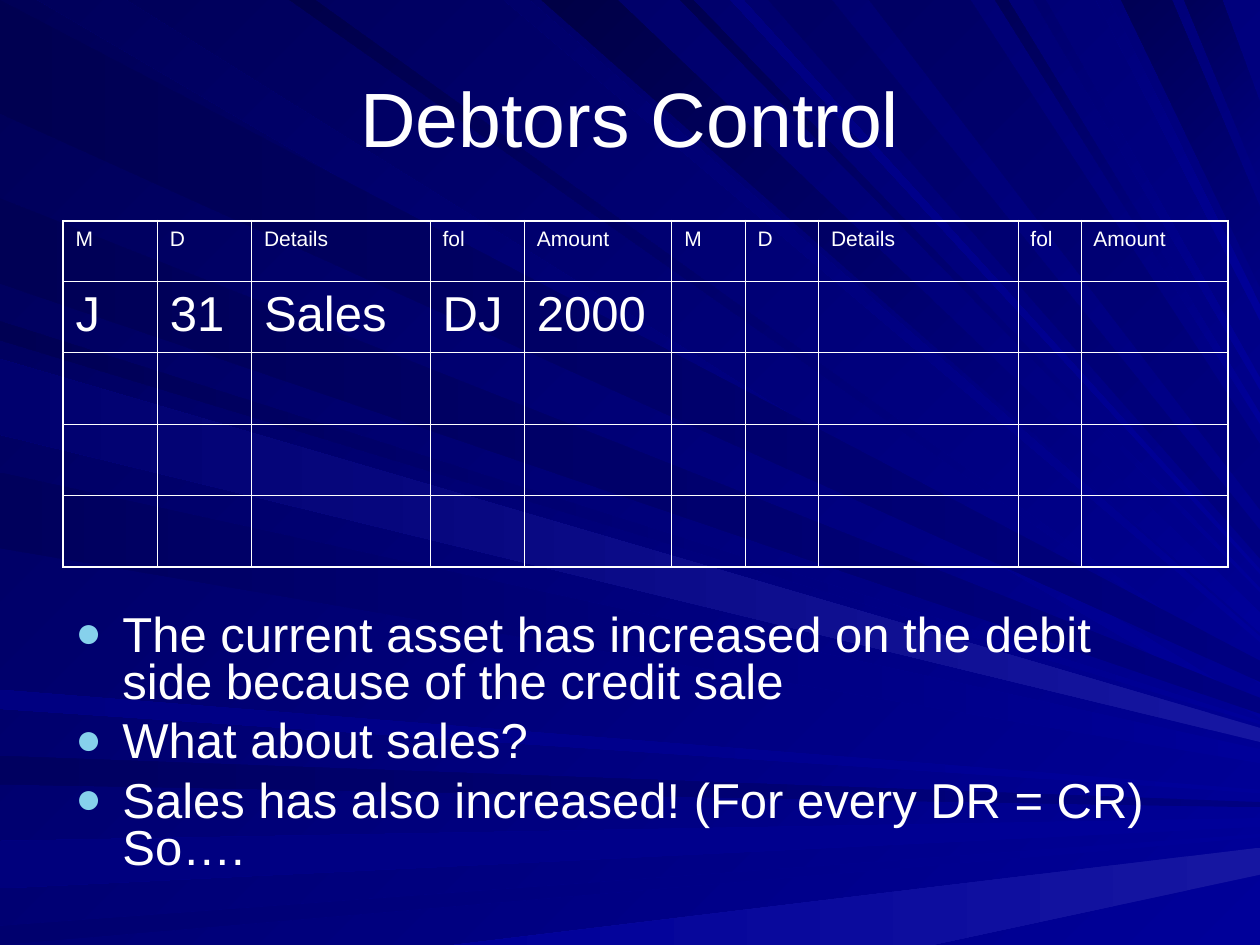
from dataclasses import dataclass

from lxml.etree import SubElement
from pptx import Presentation
from pptx.dml.color import RGBColor
from pptx.enum.text import MSO_ANCHOR, PP_ALIGN
from pptx.oxml.ns import qn
from pptx.util import Cm, Pt


@dataclass(frozen=True)
class Theme:
    """Colours, font and type sizes of the slide."""
    font: str = "Arial"
    text: str = "FFFFFF"
    bullet: str = "86D1EC"
    bright: str = "000099"
    middle: str = "000080"
    glow: str = "1616A1"
    dark: str = "000057"
    title_size: int = 44
    body_size: int = 28
    header_size: int = 12
    inner_line: float = 0.45
    outer_line: float = 1.08


@dataclass(frozen=True)
class Box:
    """A region of the slide in centimetres."""
    left: float
    top: float
    width: float
    height: float

    def lengths(self):
        """Return left, top, width and height as slide lengths."""
        return Cm(self.left), Cm(self.top), Cm(self.width), Cm(self.height)


@dataclass(frozen=True)
class Fan:
    """Rays that leave one slide edge for a shared focus, as start, end, near and far colour."""
    edge: str
    focus_height: float
    angle: int
    rays: tuple


THEME = Theme()
BRIGHT, MIDDLE, GLOW = THEME.bright, THEME.middle, THEME.glow
FOCUS_REACH = 1.23

FANS = (
    Fan("top", 0.94, 225, (
        (0.03, 0.1, BRIGHT, "00005C"),
        (0.4, 0.42, BRIGHT, "00006A"),
        (0.43, 0.49, BRIGHT, "000046"),
        (0.54, 0.55, BRIGHT, "00004E"),
        (0.61, 0.66, MIDDLE, "000064"),
        (0.23, 0.25, BRIGHT, "00004A"),
        (0.58, 0.59, BRIGHT, "000081"),
        (0.69, 0.77, MIDDLE, "000064"),
        (0.79, 0.8, BRIGHT, "000057"),
        (0.82, 0.83, BRIGHT, "00006E"),
        (0.87, 0.88, BRIGHT, "000078"),
        (0.89, 0.93, MIDDLE, "000055"),
        (0.94, 0.97, MIDDLE, "000059"),
    )),
    Fan("left", 0.86, 180, (
        (0, 0.12, MIDDLE, "000051"),
        (0.8, 0.83, MIDDLE, "000060"),
        (0.89, 0.94, BRIGHT, "00007C"),
        (0.98, 1, BRIGHT, "00006E"),
        (0.34, 0.36, BRIGHT, "000053"),
        (0.21, 0.3, MIDDLE, "000055"),
        (0.5, 0.58, BRIGHT, "00005C"),
        (0.73, 0.75, BRIGHT, "000081"),
        (0.38, 0.46, GLOW, "00006E"),
    )),
    Fan("bottom", 0.86, 180, ((0.36, 0.74, GLOW, BRIGHT),)),
)

COLUMN_WIDTHS = [1.9, 1.9, 3.6, 1.9, 2.97, 1.48, 1.48, 4.02, 1.27, 2.97]
ROW_HEIGHTS = [1.22] + [1.44] * 4
LEDGER = [
    ["M", "D", "Details", "fol", "Amount"] * 2,
    ["J", "31", "Sales", "DJ", "2000"],
]
POINTS = [
    "The current asset has increased on the debit side because of the credit sale",
    "What about sales?",
    "Sales has also increased! (For every DR = CR) So….",
]


def paint(fill, start, end, clockwise_angle):
    """Fill with a linear gradient."""
    fill.gradient()
    fill.gradient_angle = 360 - clockwise_angle
    for stop, color in zip(fill.gradient_stops, (start, end)):
        stop.color.rgb = RGBColor.from_string(color)


def style_font(paragraph, size):
    """Give a paragraph the theme font at the given size."""
    paragraph.font.name = THEME.font
    paragraph.font.size = Pt(size)
    paragraph.font.color.rgb = RGBColor.from_string(THEME.text)


def ray_side(fan, position):
    """Return both ends of a ray's side as fractions of the box."""
    x, y = {"top": (position, 0), "left": (0, position), "bottom": (position, 1)}[fan.edge]
    slope = (fan.focus_height - y) / (FOCUS_REACH - x)
    return [(x, y), (1, y + slope * (1 - x))]


def add_rays(slide, box):
    """Draw the background gradient and the fans of light rays."""
    paint(slide.background.fill, THEME.bright, THEME.dark, 225)
    for fan in FANS:
        for start, end, near_color, far_color in fan.rays:
            outline = ray_side(fan, start) + ray_side(fan, end)[::-1]
            corners = [(Cm(box.left + x * box.width), Cm(box.top + y * box.height))
                       for x, y in outline]
            builder = slide.shapes.build_freeform(*corners[0])
            builder.add_line_segments(corners[1:], close=True)
            shape = builder.convert_to_shape()
            shape.shadow.inherit = False
            shape.line.fill.background()
            paint(shape.fill, near_color, far_color, fan.angle)


def add_title(slide, box, text):
    """Place the centred slide title."""
    frame = slide.shapes.add_textbox(*box.lengths()).text_frame
    frame.word_wrap = True
    frame.vertical_anchor = MSO_ANCHOR.MIDDLE
    paragraph = frame.paragraphs[0]
    paragraph.text = text
    paragraph.alignment = PP_ALIGN.CENTER
    style_font(paragraph, THEME.title_size)


def set_borders(cell, widths):
    """Draw the left, right, top and bottom borders of a cell."""
    properties = cell._tc.get_or_add_tcPr()
    for side, width in zip("LRTB", widths):
        line = SubElement(properties, qn(f"a:ln{side}"), w=str(Pt(width)))
        SubElement(SubElement(line, qn("a:solidFill")), qn("a:srgbClr"), val=THEME.text)


def add_ledger(slide, box):
    """Place the ledger account table with a heavier outer frame."""
    last_row, last_column = len(ROW_HEIGHTS) - 1, len(COLUMN_WIDTHS) - 1
    table = slide.shapes.add_table(last_row + 1, last_column + 1, *box.lengths()).table
    table.first_row = table.horz_banding = False
    for column, width in zip(table.columns, COLUMN_WIDTHS):
        column.width = Cm(width)
    for row_index, height in enumerate(ROW_HEIGHTS):
        table.rows[row_index].height = Cm(height)
        for column_index in range(last_column + 1):
            cell = table.cell(row_index, column_index)
            edges = (column_index == 0, column_index == last_column,
                     row_index == 0, row_index == last_row)
            set_borders(cell, [THEME.outer_line if edge else THEME.inner_line for edge in edges])
            cell.fill.background()
    for row_index, entries in enumerate(LEDGER):
        for column_index, entry in enumerate(entries):
            paragraph = table.cell(row_index, column_index).text_frame.paragraphs[0]
            paragraph.text = entry
            style_font(paragraph, THEME.body_size if row_index else THEME.header_size)


def add_bullet(paragraph):
    """Give a paragraph a round bullet with a hanging indent."""
    properties = paragraph._p.get_or_add_pPr()
    properties.set("marL", str(Cm(0.95)))
    properties.set("indent", str(Cm(-0.95)))
    SubElement(SubElement(properties, qn("a:buClr")), qn("a:srgbClr"), val=THEME.bullet)
    SubElement(properties, qn("a:buSzPct"), val="90000")
    SubElement(properties, qn("a:buFont"), typeface=THEME.font)
    SubElement(properties, qn("a:buChar"), char="●")


def add_points(slide, box):
    """Place the bulleted remarks below the ledger."""
    frame = slide.shapes.add_textbox(*box.lengths()).text_frame
    frame.word_wrap = True
    for index, point in enumerate(POINTS):
        paragraph = frame.add_paragraph() if index else frame.paragraphs[0]
        paragraph.text = point
        add_bullet(paragraph)
        paragraph.line_spacing = 0.8
        if index:
            paragraph.space_before = Pt(7)
        style_font(paragraph, THEME.body_size)


def main():
    """Build the slide and save it."""
    presentation = Presentation()
    presentation.slide_width, presentation.slide_height = Cm(25.4), Cm(19.05)
    slide = presentation.slides.add_slide(presentation.slide_layouts[6])
    add_rays(slide, Box(0, 0, 25.4, 19.05))
    add_title(slide, Box(1.27, 0.76, 22.86, 3.18), "Debtors Control")
    add_points(slide, Box(1.27, 12.27, 22.86, 6.07))
    add_ledger(slide, Box(1.27, 4.45, sum(COLUMN_WIDTHS), sum(ROW_HEIGHTS)))
    presentation.save("out.pptx")


if __name__ == "__main__":
    main()
